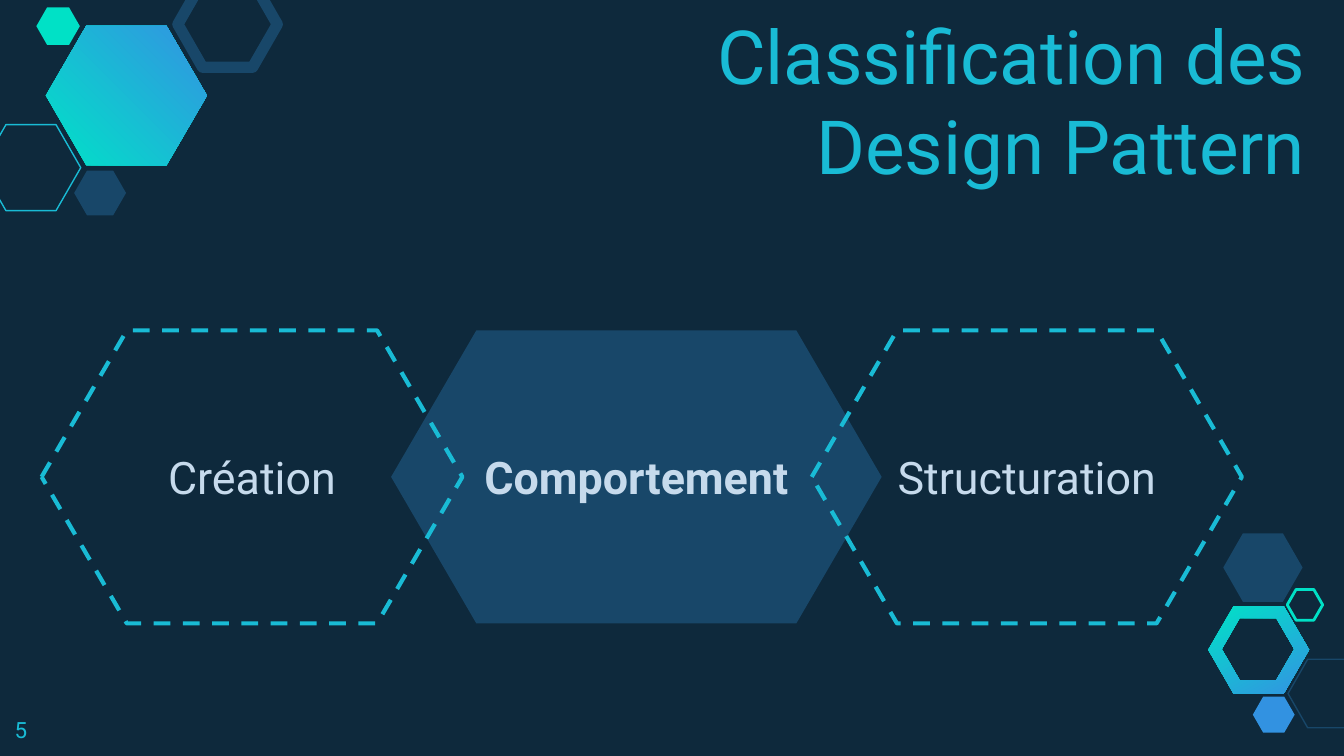
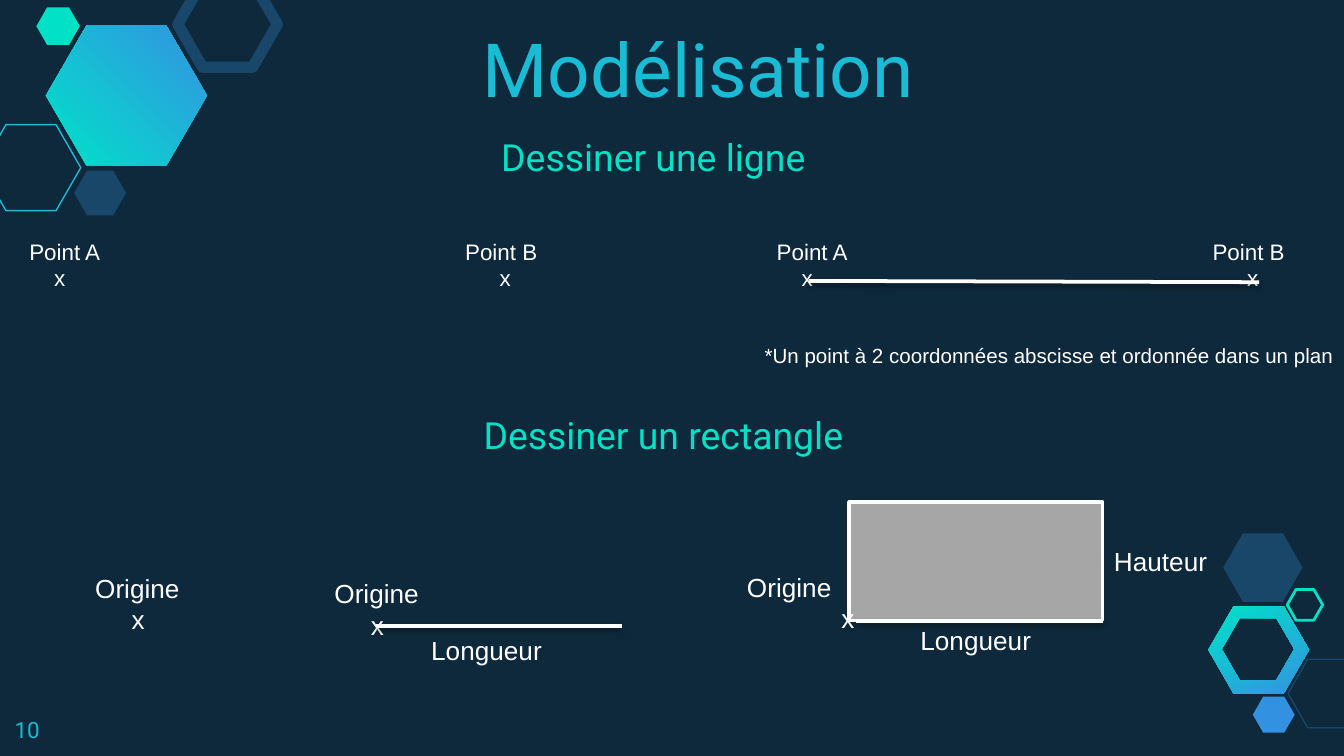
from lxml.etree import SubElement
from pptx import Presentation
from pptx.dml.color import RGBColor
from pptx.enum.dml import MSO_LINE
from pptx.enum.shapes import MSO_CONNECTOR, MSO_SHAPE
from pptx.enum.text import MSO_ANCHOR, PP_ALIGN
from pptx.oxml.ns import qn
from pptx.util import Pt

NIGHT = "0E293C"
NAVY = "184769"
CYAN = "19BBD5"
MINT = "00E1C6"
BLUE = "3292E1"
PALE = "C6DAEC"
WHITE = "FFFFFF"
GREY = "A6A6A6"
GRADIENT = ("00E2C7", "3393E2")
INSET = 7.2


def colour(value):
    return RGBColor.from_string(value)


def write(shape, text, size=14, font="Arial", color=WHITE, bold=False,
          align=PP_ALIGN.LEFT, anchor=MSO_ANCHOR.TOP, inset=3.6, tabs=()):
    frame = shape.text_frame
    frame.word_wrap = True
    frame.vertical_anchor = anchor
    frame.margin_left = frame.margin_right = Pt(INSET)
    frame.margin_top = frame.margin_bottom = Pt(inset)
    for index, line in enumerate(text.split("\n")):
        para = frame.add_paragraph() if index else frame.paragraphs[0]
        para.alignment = align
        if index < len(tabs) and tabs[index]:
            stops = SubElement(para._p.get_or_add_pPr(), qn("a:tabLst"))
            for stop in tabs[index]:
                SubElement(stops, qn("a:tab"), pos=str(Pt(stop)), algn="l")
        span = para.add_run()
        span.text = line
        span.font.name = font
        span.font.size = Pt(size)
        span.font.bold = bold
        span.font.color.rgb = colour(color)


def hexagon_points(left, top, width, height):
    corner = 0.29 * height
    right, bottom, middle = left + width, top + height, top + height / 2
    points = [(left + corner, bottom), (left, middle), (left + corner, top),
              (right - corner, top), (right, middle), (right - corner, bottom)]
    return [(Pt(x), Pt(y)) for x, y in points]


class Painter:
    def __init__(self, deck):
        self.deck = deck
        self.page = None

    def start_page(self, number):
        self.page = self.deck.slides.add_slide(self.deck.slide_layouts[6])
        background = self.page.background.fill
        background.solid()
        background.fore_color.rgb = colour(NIGHT)
        self.decorate()
        self.text(0.7, 376.6, 43, 28, str(number), size=12, font="Roboto",
                  color=CYAN, inset=INSET)

    def decorate(self):
        self.gradient_hexagon((647.3, 324.7, 54, 46.8), 300,
                              hole=(654.5, 331.2, 38.9, 33.1))
        self.gradient_hexagon((24.6, 13.8, 86.3, 74.8), 45)
        for left, top, width, height, fill, line, weight in (
            (-10, 66.8, 53.3, 46.1, None, CYAN, 0.75),
            (39.7, 91.4, 27.8, 24, NAVY, None, 0),
            (95.3, -10, 53.3, 46.1, None, NAVY, 6),
            (19.5, 3.9, 23.3, 20.2, MINT, None, 0),
            (690, 353.2, 42.5, 36.7, None, NAVY, 0.75),
            (671.2, 373.2, 22.4, 19.4, BLUE, None, 0),
            (655.3, 285.7, 42.5, 36.7, NAVY, None, 0),
            (689.6, 315.8, 19, 16.5, None, MINT, 1.5),
        ):
            self.hexagon(left, top, width, height, fill=fill, line=line, weight=weight)

    def shape(self, kind, left, top, width, height, fill=None, line=None, weight=0):
        shape = self.page.shapes.add_shape(kind, Pt(left), Pt(top), Pt(width), Pt(height))
        shape.shadow.inherit = False
        if fill:
            shape.fill.solid()
            shape.fill.fore_color.rgb = colour(fill)
        else:
            shape.fill.background()
        if line:
            shape.line.color.rgb = colour(line)
            shape.line.width = Pt(weight)
        else:
            shape.line.fill.background()
        return shape

    def hexagon(self, left, top, width, height, corner=0.287, **style):
        shape = self.shape(MSO_SHAPE.HEXAGON, left, top, width, height, **style)
        shape.adjustments[0] = corner
        return shape

    def gradient_hexagon(self, outer, angle, hole=None):
        points = hexagon_points(*outer)
        builder = self.page.shapes.build_freeform(*points[0])
        builder.add_line_segments(points[1:], close=True)
        if hole:
            inner = hexagon_points(*hole)[::-1]
            builder.move_to(*inner[0])
            builder.add_line_segments(inner[1:], close=True)
        shape = builder.convert_to_shape()
        shape.shadow.inherit = False
        shape.line.fill.background()
        shape.fill.gradient()
        shape.fill.gradient_angle = angle
        for stop, value in zip(shape.fill.gradient_stops, GRADIENT):
            stop.color.rgb = colour(value)

    def text(self, left, top, width, height, text, **style):
        box = self.page.shapes.add_textbox(Pt(left), Pt(top), Pt(width), Pt(height))
        write(box, text, **style)

    def line(self, x1, y1, x2, y2):
        connector = self.page.shapes.add_connector(
            MSO_CONNECTOR.STRAIGHT, Pt(x1), Pt(y1), Pt(x2), Pt(y2))
        connector.line.color.rgb = colour(WHITE)
        connector.line.width = Pt(2)
        effects = SubElement(connector._element.spPr, qn("a:effectLst"))
        shadow = SubElement(effects, qn("a:outerShdw"), blurRad=str(Pt(3.1)),
                            dist=str(Pt(1.6)), dir="5400000", rotWithShape="0")
        black = SubElement(shadow, qn("a:srgbClr"), val="000000")
        SubElement(black, qn("a:alpha"), val="38000")


def classification(painter):
    painter.start_page(5)
    painter.text(316.8, 57.6, 389.5, 51.1, "Classification des Design Pattern",
                 size=40, font="Roboto", color=CYAN, align=PP_ALIGN.RIGHT,
                 anchor=MSO_ANCHOR.BOTTOM, inset=INSET)
    for left, width, label, main in (
        (209.5, 262.8, "Comportement", True),
        (22.3, 225.4, "Création", False),
        (434.9, 230.4, "Structuration", False),
    ):
        style = {"fill": NAVY} if main else {"line": CYAN, "weight": 2.25}
        family = painter.hexagon(left, 177, width, 157, corner=0.291, **style)
        if not main:
            family.line.dash_style = MSO_LINE.DASH
        write(family, label, size=24, font="Roboto", color=PALE, bold=main,
              align=PP_ALIGN.CENTER, anchor=MSO_ANCHOR.MIDDLE, inset=INSET)


def modelling(painter):
    painter.start_page(10)
    title = painter.shape(MSO_SHAPE.OVAL, 175, 17.3, 398.2, 38.2)
    write(title, "Modélisation", size=40, font="Roboto", color=CYAN,
          align=PP_ALIGN.CENTER, anchor=MSO_ANCHOR.MIDDLE)
    for left, top, width, heading in (
        (261.4, 68.4, 187.9, "Dessiner une ligne"),
        (252, 217.4, 221, "Dessiner un rectangle"),
    ):
        painter.text(left, top, width, 31.7, heading, size=20, font="Roboto", color=MINT)

    for left, width in ((8.6, 298.8), (409, 468.7)):
        painter.text(left, 123.8, width, 36, "Point A\tPoint B\n\tx\tx", size=12,
                     tabs=((233.5,), (13.3, 252)))
    painter.line(433.4, 150.5, 674.6, 151.2)
    painter.text(402.5, 180, 353.5, 20.9,
                 "*Un point à 2 coordonnées abscisse et ordonnée dans un plan", size=11)

    painter.shape(MSO_SHAPE.RECTANGLE, 455, 269, 135.7, 63.4,
                  fill=GREY, line=WHITE, weight=2)
    for left, top, width, mark in (
        (43.9, 303.1, 67, 19.5), (172.1, 306, 67, 19.5), (393.1, 302.4, 75, 50.6),
    ):
        painter.text(left, top, width, 41, "Origine\n\tx", tabs=((), (mark,)))
    for left, top, label in (
        (223.9, 336.2, "Longueur"), (486, 331.2, "Longueur"), (589.7, 288.7, "Hauteur"),
    ):
        painter.text(left, top, 87, 24.5, label)
    painter.line(201.6, 335.5, 333.4, 335.5)
    painter.line(458.6, 332.6, 591.1, 332.6)


def main():
    deck = Presentation()
    deck.slide_width, deck.slide_height = Pt(720), Pt(405)
    painter = Painter(deck)
    classification(painter)
    modelling(painter)
    deck.save("out.pptx")


if __name__ == "__main__":
    main()
